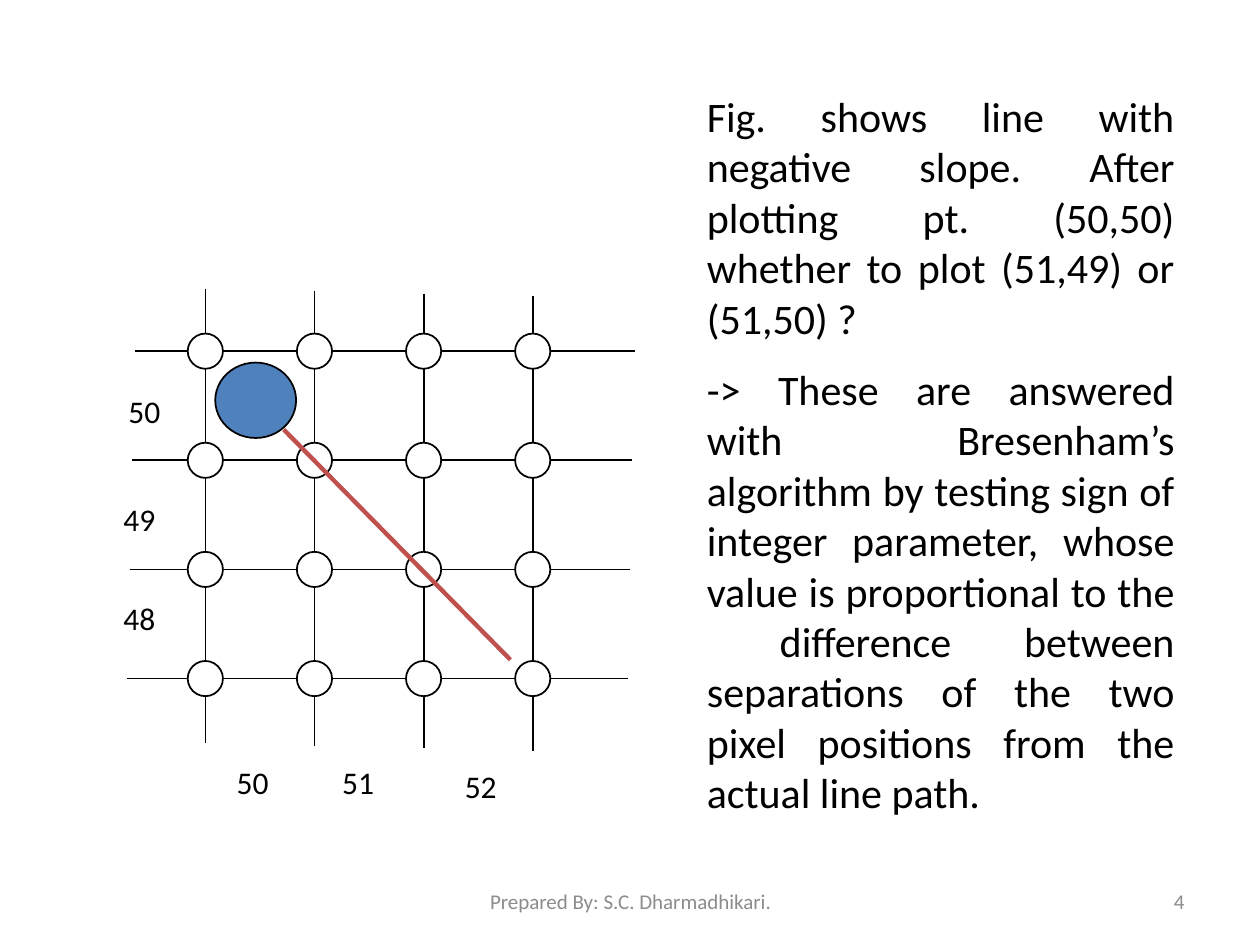
from dataclasses import dataclass

from lxml import etree
from pptx import Presentation
from pptx import util as u
from pptx.dml.color import RGBColor
from pptx.enum import shapes, text
from pptx.oxml.ns import qn

Cm = u.Cm


@dataclass(frozen=True)
class Theme:
    font: str = "Calibri"
    ink: str = "000000"
    paper: str = "FFFFFF"
    muted: str = "8C8C8C"
    plotted: str = "4F81BD"
    path_line: str = "C0504D"
    body_size: int = 24
    label_size: int = 18
    footer_size: int = 12
    thin: float = 1
    thick: float = 2.5


THEME = Theme()
LEFT, CENTRE, RIGHT, JUSTIFY = (
    text.PP_ALIGN.LEFT, text.PP_ALIGN.CENTER, text.PP_ALIGN.RIGHT, text.PP_ALIGN.JUSTIFY)
TOP, MIDDLE = text.MSO_ANCHOR.TOP, text.MSO_ANCHOR.MIDDLE


def add_text(slide, box, *paragraphs, size, color=THEME.ink, align=LEFT,
             anchor=TOP, gap=0):
    """Place paragraphs in box (left, top, width, height in cm), gap points apart."""
    frame = slide.shapes.add_textbox(*map(Cm, box)).text_frame
    frame.word_wrap = True
    frame.vertical_anchor = anchor
    for index, wording in enumerate(paragraphs):
        paragraph = frame.add_paragraph() if index else frame.paragraphs[0]
        paragraph.alignment = align
        paragraph.space_before = u.Pt(gap if index else 0)
        run = paragraph.add_run()
        run.text = wording
        run.font.name = THEME.font
        run.font.size = u.Pt(size)
        run.font.color.rgb = RGBColor.from_string(color)


def add_line(slide, start, end, color=THEME.ink, width=THEME.thin):
    connector = slide.shapes.add_connector(
        shapes.MSO_CONNECTOR.STRAIGHT, *map(Cm, start + end))
    connector.line.color.rgb = RGBColor.from_string(color)
    connector.line.width = u.Pt(width)
    etree.SubElement(connector._element.spPr, qn("a:effectLst"))


def add_ellipse(slide, box, fill):
    ellipse = slide.shapes.add_shape(shapes.MSO_SHAPE.OVAL, *map(Cm, box))
    ellipse.shadow.inherit = False
    ellipse.fill.solid()
    ellipse.fill.fore_color.rgb = RGBColor.from_string(fill)
    ellipse.line.color.rgb = RGBColor.from_string(THEME.ink)
    ellipse.line.width = u.Pt(THEME.thin)


def add_pixel_grid(slide, left, top):
    """Draw the grid with its nodes, axis labels, plotted pixel and line path."""
    count, pitch, drift, node = 4, 2.2, 0.05, 0.71
    columns = [left + 1.94 + pitch * i for i in range(count)]
    rows = [top + 1.26 + pitch * i for i in range(count)]

    for index, x in enumerate(columns):
        start = top + drift * index
        add_line(slide, (x, start), (x, start + 9.16))
    for index, y in enumerate(rows):
        start = left + 0.52 - drift * index
        add_line(slide, (start, y), (start + 10.08, y))
    for y in rows:
        for x in columns:
            add_ellipse(slide, (x - node / 2, y - node / 2, node, node), THEME.paper)

    labels = [("50", 2.32, 9.44), ("51", 4.45, 9.44), ("52", 6.92, 9.52),
              ("50", 0.14, 1.95), ("49", 0.04, 4.13), ("48", 0.04, 6.14)]
    for wording, x, y in labels:
        add_text(slide, (left + x, top + y, 1.32, 1.02), wording,
                 size=THEME.label_size)

    add_line(slide, (left + 3.52, top + 2.84), (left + 8.09, top + 7.48),
             THEME.path_line, THEME.thick)
    add_ellipse(slide, (left + 2.14, top + 1.49, 1.63, 1.52), THEME.plotted)


def add_explanation(slide, box):
    add_text(
        slide, box,
        "Fig. shows line with negative slope. After plotting pt. (50,50) "
        "whether to plot (51,49) or (51,50) ?",
        "-> These are answered with Bresenham’s algorithm by testing sign of "
        "integer parameter, whose value is proportional to the  difference "
        "between separations of the two pixel positions from the actual line path.",
        size=THEME.body_size, align=JUSTIFY, gap=THEME.body_size / 2)


def add_footer(slide, left, top):
    style = dict(size=THEME.footer_size, color=THEME.muted, anchor=MIDDLE)
    add_text(slide, (left, top, 8.05, 1.02), "Prepared By: S.C. Dharmadhikari.",
             align=CENTRE, **style)
    add_text(slide, (left + 9.52, top, 5.92, 1.02), "4", align=RIGHT, **style)


def main():
    presentation = Presentation()
    presentation.slide_width, presentation.slide_height = Cm(25.4), Cm(19.05)
    slide = presentation.slides.add_slide(presentation.slide_layouts[6])
    add_pixel_grid(slide, 2.2, 5.82)
    add_explanation(slide, (14, 1.7, 9.93, 15.14))
    add_footer(slide, 8.69, 17.65)
    presentation.save("out.pptx")


if __name__ == "__main__":
    main()
